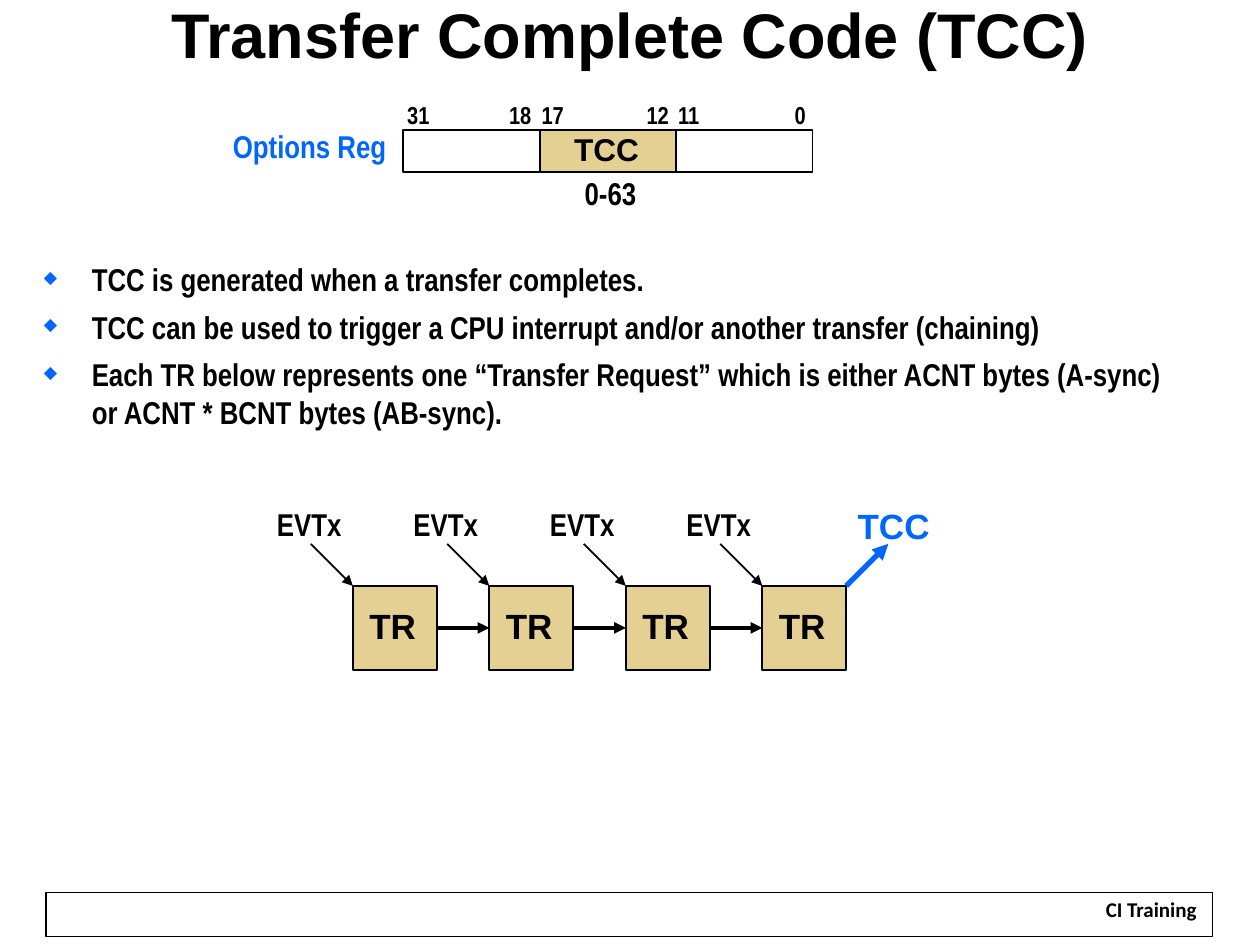
import pptx
import pptx.dml.color
import pptx.enum.shapes
import pptx.enum.text
import pptx.oxml
import pptx.oxml.ns
import pptx.util

BLACK, WHITE, BLUE, TAN = "000000", "FFFFFF", "0066FF", "E5D093"
SANS, NARROW, FOOTER = "Arial", "Arial Narrow", "Calibri"
ALIGN = pptx.enum.text.PP_ALIGN
ANCHOR = pptx.enum.text.MSO_ANCHOR
FIT = pptx.enum.text.MSO_AUTO_SIZE


def color(value):
    return pptx.dml.color.RGBColor.from_string(value)


def add_xml(parent, tag, **attributes):
    element = pptx.oxml.parse_xml(f"<a:{tag} {pptx.oxml.ns.nsdecls('a')}/>")
    for name, value in attributes.items():
        element.set(name, value)
    parent.append(element)
    return element


class Sheet:
    columns, rows = 120, 90

    def __init__(self, deck):
        self.deck = deck
        self.page = deck.slides.add_slide(deck.slide_layouts[6])

    def x(self, column):
        return round(self.deck.slide_width * column / self.columns)

    def y(self, row):
        return round(self.deck.slide_height * row / self.rows)

    def area(self, left, top, width, height):
        return self.x(left), self.y(top), self.x(width), self.y(height)

    def style(self, para, size, font, ink):
        para.font.size = pptx.util.Pt(size)
        para.font.name = font
        para.font.bold = True
        para.font.color.rgb = color(ink)

    def rectangle(self, *place, fill=None, weight=1):
        kind = pptx.enum.shapes.MSO_SHAPE.RECTANGLE
        box = self.page.shapes.add_shape(kind, *self.area(*place))
        box.shadow.inherit = False
        if fill:
            box.fill.solid()
            box.fill.fore_color.rgb = color(fill)
        else:
            box.fill.background()
        box.line.color.rgb = color(BLACK)
        box.line.width = pptx.util.Pt(weight)
        return box

    def label(self, text, *place, size=18, font=NARROW, ink=BLACK,
              align=ALIGN.LEFT, spacing=0.8):
        box = self.page.shapes.add_textbox(*self.area(*place))
        box.text_frame.word_wrap = False
        box.text_frame.auto_size = FIT.SHAPE_TO_FIT_TEXT
        para = box.text_frame.paragraphs[0]
        para.text = text
        para.alignment = align
        para.line_spacing = spacing
        self.style(para, size, font, ink)
        return box

    def title(self, text, *place):
        box = self.label(text, *place, size=36, font=SANS,
                         align=ALIGN.CENTER, spacing=0.75)
        frame = box.text_frame
        frame.word_wrap = True
        frame.auto_size = FIT.NONE
        frame.vertical_anchor = ANCHOR.TOP
        frame.margin_left = frame.margin_right = pptx.util.Inches(0.05)
        frame.margin_top = frame.margin_bottom = pptx.util.Inches(0.05)

    def bullets(self, items, *place):
        frame = self.page.shapes.add_textbox(*self.area(*place)).text_frame
        frame.word_wrap = True
        frame.vertical_anchor = ANCHOR.MIDDLE
        indent = pptx.util.Inches(0.38)
        for number, item in enumerate(items):
            para = frame.add_paragraph() if number else frame.paragraphs[0]
            para.text = item
            para.space_after = pptx.util.Pt(5.5)
            properties = para._p.get_or_add_pPr()
            properties.set("marL", str(indent))
            properties.set("indent", str(-indent))
            add_xml(add_xml(properties, "buClr"), "srgbClr", val=BLUE)
            add_xml(properties, "buSzPct", val="55000")
            add_xml(properties, "buChar", char="◆")
            self.style(para, 18, NARROW, BLACK)

    def arrow(self, start, end, weight=1, ink=BLACK):
        line = self.page.shapes.add_connector(
            pptx.enum.shapes.MSO_CONNECTOR.STRAIGHT,
            self.x(start[0]), self.y(start[1]), self.x(end[0]), self.y(end[1]))
        line.line.color.rgb = color(ink)
        line.line.width = pptx.util.Pt(weight)
        add_xml(line.line._get_or_add_ln(), "tailEnd", type="triangle")
        add_xml(line._element.spPr, "effectLst")
        return line


def draw_register(sheet):
    left, top, width, height = 38.4, 12.4, 13, 4
    for field, fill in enumerate((None, TAN, None)):
        sheet.rectangle(left + field * width, top, width, height, fill=fill)
    bits = {"31": 37.6, "18": 47.3, "17": 50.4, "12": 60.4, "11": 63.4, "0": 74.5}
    for bit, column in bits.items():
        sheet.label(bit, column, 9.5, 2.3 + 1.15 * len(bit), 3.5, size=14)
    sheet.label("Options Reg", 21, 12.2, 17, 4.1, ink=BLUE)
    sheet.label("TCC", 53.5, 12.5, 8.6, 4.1, font=SANS)
    sheet.label("0-63", 54.5, 16.7, 7.3, 4.1)


def draw_transfers(sheet):
    left, top, side, pitch, rise = 33.6, 55.8, 8, 13, 4
    previous = None
    for step in range(4):
        column = left + step * pitch
        request = sheet.rectangle(column, top, side, side, fill=TAN)
        sheet.label("TR", column + 0.4, top + 2, 7.2, 4.4, size=20, font=SANS)
        sheet.label("EVTx", column - 8.4, 48.2, 8.6, 4.1)
        sheet.arrow((column - rise, top - rise), (column, top))
        if previous:
            middle = top + side / 2
            link = sheet.arrow((column - pitch + side, middle), (column, middle), 2.25)
            link.begin_connect(previous, 3)
            link.end_connect(request, 1)
        previous = request
    corner = left + 3 * pitch + side
    sheet.arrow((corner, top), (corner + rise, top - rise), 3, BLUE)
    sheet.label("TCC", corner - 0.1, 48.2, 9.6, 4.4, size=20, font=SANS, ink=BLUE)


def main():
    deck = pptx.Presentation()
    deck.slide_width = pptx.util.Inches(10)
    deck.slide_height = pptx.util.Inches(7.5)
    sheet = Sheet(deck)
    sheet.rectangle(4.4, 85, 111.1, 4.2, weight=0.75)
    footer = sheet.label("CI Training", 104, 85.3, 11.3, 3.6, size=12,
                         font=FOOTER, align=ALIGN.CENTER)
    footer.fill.solid()
    footer.fill.fore_color.rgb = color(WHITE)
    sheet.title("Transfer Complete Code (TCC)", 0, 0.7, 120, 8)
    sheet.bullets((
        "TCC is generated when a transfer completes.",
        "TCC can be used to trigger a CPU interrupt and/or another transfer (chaining)",
        "Each TR below represents one “Transfer Request” which is either "
        "ACNT bytes (A-sync) \vor ACNT * BCNT bytes (AB-sync).",
    ), 3, 23.3, 114.4, 19.2)
    draw_transfers(sheet)
    draw_register(sheet)
    deck.save("out.pptx")


if __name__ == "__main__":
    main()
